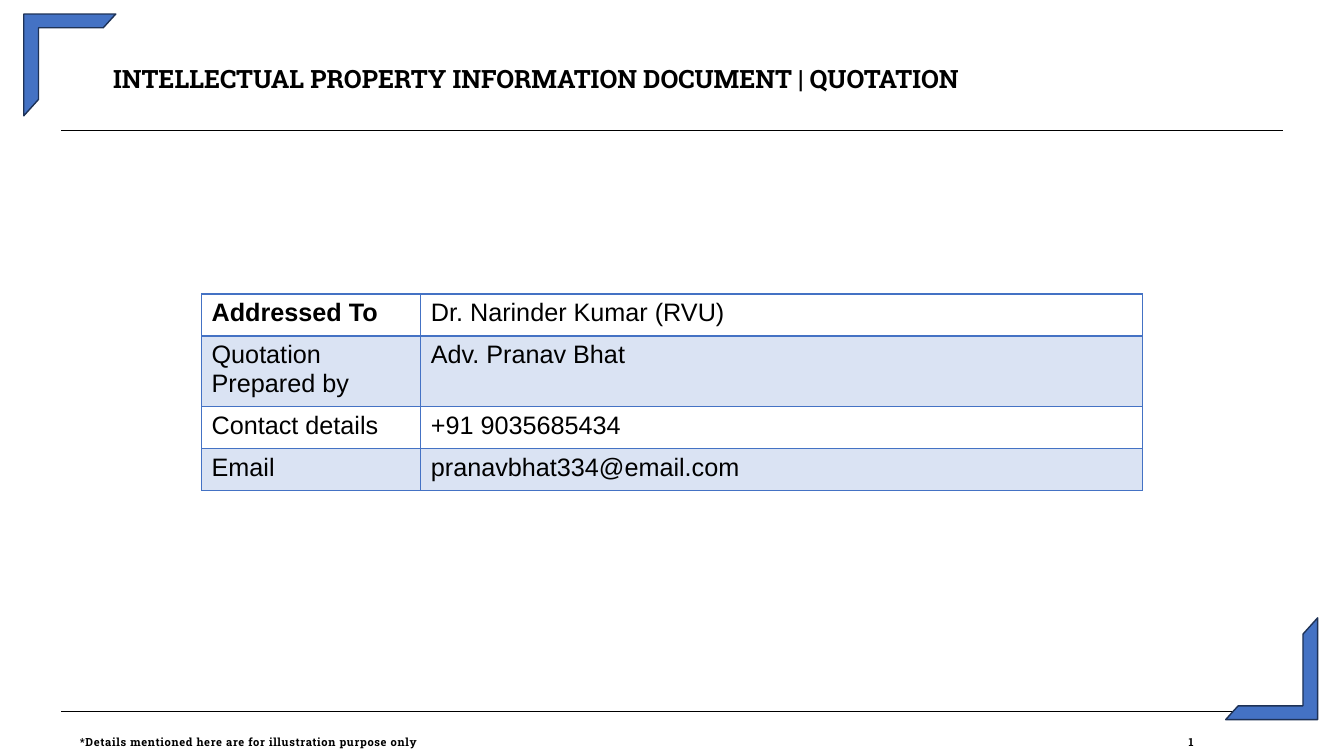
"""Builds the quotation details slide with its contact table."""
from lxml import etree
from pptx import Presentation
from pptx.dml.color import RGBColor
from pptx.enum import shapes, text
from pptx.oxml import ns
from pptx.util import Pt

BLACK = RGBColor(0x00, 0x00, 0x00)
BLUE = RGBColor(0x44, 0x72, 0xC4)
NAVY = RGBColor(0x1E, 0x32, 0x56)
PALE_BLUE = RGBColor(0xDA, 0xE3, 0xF3)
SLAB = "Roboto Slab"


def write(frame, words, size, font=SLAB, bold=True):
    para = frame.paragraphs[0]
    span = para.add_run()
    span.text = words
    span.font.size = Pt(size)
    span.font.name = font
    span.font.bold = bold
    span.font.color.rgb = BLACK
    return para


deck = Presentation()
deck.slide_width, deck.slide_height = Pt(960), Pt(540)
page = deck.slides.add_slide(deck.slide_layouts[5])

title = page.shapes.title
title.left, title.top, title.width, title.height = Pt(31.6), Pt(24.5), Pt(702.7), Pt(63.4)
title.text_frame.word_wrap = True
title.text_frame.auto_size = text.MSO_AUTO_SIZE.NONE
title.text_frame.vertical_anchor = text.MSO_ANCHOR.MIDDLE
heading = write(title.text_frame, "INTELLECTUAL PROPERTY INFORMATION DOCUMENT | QUOTATION", 18)
heading.alignment = text.PP_ALIGN.CENTER

for rule_y in (93, 508):
    rule = page.shapes.add_connector(
        shapes.MSO_CONNECTOR.STRAIGHT, Pt(43.6), Pt(rule_y), Pt(916.5), Pt(rule_y))
    rule.line.color.rgb = BLACK
    rule.line.width = Pt(0.48)
    etree.SubElement(rule._element.spPr, ns.qn("a:effectLst"))

for left, top, angle in ((17, 10, 0), (875.5, 441.3, 180)):
    corner = page.shapes.add_shape(
        shapes.MSO_SHAPE.HALF_FRAME, Pt(left), Pt(top), Pt(65.7), Pt(72.7))
    corner.adjustments[0] = 0.15
    corner.adjustments[1] = 0.16
    corner.rotation = angle
    corner.shadow.inherit = False
    corner.fill.solid()
    corner.fill.fore_color.rgb = BLUE
    corner.line.color.rgb = NAVY
    corner.line.width = Pt(1)

footer_box = page.shapes.add_textbox(Pt(57), Pt(526.8), Pt(857), Pt(10))
footer_frame = footer_box.text_frame
footer_frame.word_wrap = True
footer_frame.margin_left = footer_frame.margin_right = 0
footer_frame.margin_top = footer_frame.margin_bottom = 0
footer = write(
    footer_frame, "*Details mentioned here are for illustration purpose only\t1", 8)
footer.line_spacing = 0.84
footer.runs[0].font._element.set("spc", "45")
tabs = etree.SubElement(footer._p.get_or_add_pPr(), ns.qn("a:tabLst"))
etree.SubElement(tabs, ns.qn("a:tab"), pos=str(Pt(792)), algn="l")

DETAILS = (
    ("Addressed To", "Dr. Narinder Kumar (RVU)"),
    ("Quotation Prepared by", "Adv. Pranav Bhat"),
    ("Contact details", "+91 9035685434"),
    ("Email", "pranavbhat334@email.com"),
)
table_frame = page.shapes.add_table(4, 2, Pt(144), Pt(210), Pt(672), Pt(120))
table = table_frame.table
for column, width in zip(table.columns, (156.6, 515.6)):
    column.width = Pt(width)
for row in table.rows:
    row.height = Pt(30)

for row_index, details in enumerate(DETAILS):
    for column_index, words in enumerate(details):
        cell = table.cell(row_index, column_index)
        write(cell.text_frame, words, 18, "Arial", row_index == column_index == 0)
        properties = cell._tc.get_or_add_tcPr()
        for side in "LRTB":
            thick = (row_index, side) in ((0, "B"), (1, "T"))
            border = etree.SubElement(
                properties, ns.qn(f"a:ln{side}"), w=str(Pt(2 if thick else 1)))
            fill = etree.SubElement(border, ns.qn("a:solidFill"))
            etree.SubElement(fill, ns.qn("a:srgbClr"), val=str(BLUE))
        if row_index % 2:
            cell.fill.solid()
            cell.fill.fore_color.rgb = PALE_BLUE
        else:
            cell.fill.background()

table_frame.height = Pt(138)
deck.save("out.pptx")
